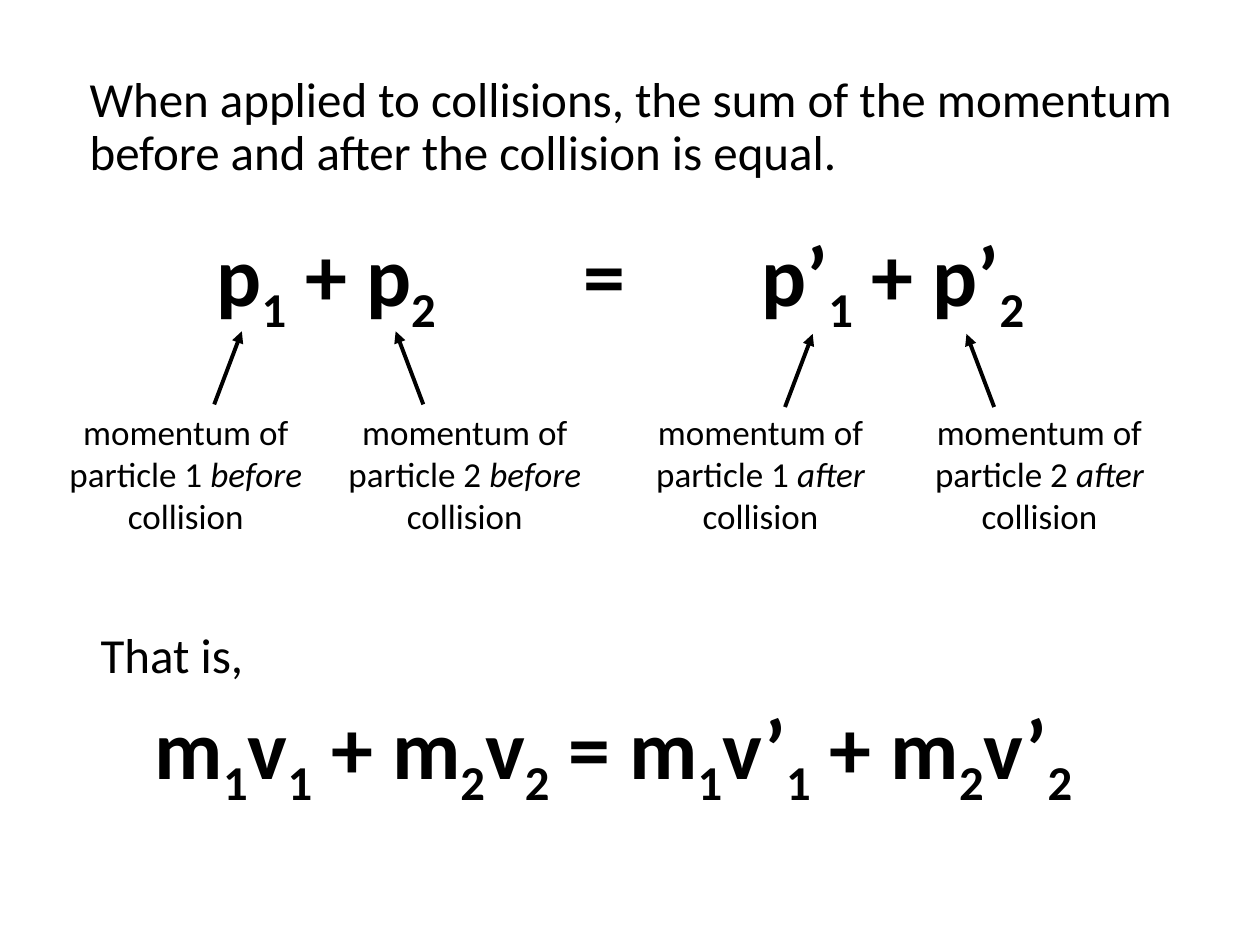
from dataclasses import dataclass

from pptx import Presentation
from pptx.dml.color import RGBColor
from pptx.enum import shapes, text
from pptx.oxml import ns
from pptx.util import Pt
from lxml import etree


@dataclass(frozen=True)
class Theme:
    ink: RGBColor = RGBColor(0, 0, 0)
    font: str = "Calibri"
    body: int = 28
    math: int = 48
    note: int = 20
    line: float = 2.25


THEME = Theme()


def add_tag(parent, tag, **attrs):
    return etree.SubElement(parent, ns.qn(tag), attrs)


def add_run(para, words, size, bold=False, slant=False, sub=False):
    run = para.add_run()
    run.text = words
    font = run.font
    font.name, font.size = THEME.font, Pt(size)
    font.bold, font.italic = bold, slant
    font.color.rgb = THEME.ink
    if sub:
        run._r.get_or_add_rPr().set("baseline", "-25000")


def add_box(slide, left, top, width, height, wrap=True):
    box = slide.shapes.add_textbox(Pt(left), Pt(top), Pt(width), Pt(height))
    box.text_frame.word_wrap = wrap
    return box.text_frame.paragraphs[0]


def add_lead(slide, words):
    lead = slide.placeholders[1]
    lead.left, lead.top = Pt(44), Pt(39.6)
    lead.width, lead.height = Pt(636), Pt(72)
    frame = lead.text_frame
    frame.auto_size = text.MSO_AUTO_SIZE.NONE
    frame.vertical_anchor = text.MSO_ANCHOR.TOP
    para = frame.paragraphs[0]
    props = para._p.get_or_add_pPr()
    props.set("marL", "0")
    props.set("indent", "0")
    add_tag(props, "a:buNone")
    para.line_spacing = 0.9
    para.space_before = Pt(0)
    add_run(para, words, THEME.body)


def add_math(slide, left, top, width, parts, stops=()):
    para = add_box(slide, left, top, width, 65.5)
    if stops:
        tabs = add_tag(para._p.get_or_add_pPr(), "a:tabLst")
        for stop in stops:
            add_tag(tabs, "a:tab", pos=str(Pt(stop)), algn="l")
    for i, part in enumerate(parts.split("|")):
        add_run(para, part, THEME.math, bold=True, sub=i % 2 == 1)


def add_note(slide, left, num, when):
    para = add_box(slide, left, 231, 159.2, 80)
    para.alignment = text.PP_ALIGN.CENTER
    add_run(para, f"momentum of particle {num} ", THEME.note)
    add_run(para, when, THEME.note, slant=True)
    add_run(para, " collision", THEME.note)


def add_arrow(slide, start, end):
    line = slide.shapes.add_connector(
        shapes.MSO_CONNECTOR.STRAIGHT, *map(Pt, start + end))
    line.line.color.rgb = THEME.ink
    line.line.width = Pt(THEME.line)
    add_tag(line.line._get_or_add_ln(), "a:tailEnd", type="triangle")
    add_tag(line._element.spPr, "a:effectLst")


def add_pair(slide, left, tail, base, when):
    for i, lean in enumerate((15.8, -15.8)):
        add_note(slide, left + 159.4 * i, i + 1, when)
        x = tail + 119.5 * i
        add_arrow(slide, (x, base), (x + lean, base - 41.8))


def main():
    deck = Presentation()
    deck.slide_width, deck.slide_height = Pt(720), Pt(540)
    slide = deck.slides.add_slide(deck.slide_layouts[1])
    title = slide.shapes.title._element
    title.getparent().remove(title)

    add_lead(slide, "When applied to collisions, the sum of the momentum "
                    "before and after the collision is equal.")
    add_math(slide, 116.6, 123.8, 490.3,
             "p|1| + p|2|\t=\tp’|1| + p’|2", stops=(210, 311.5))
    add_math(slide, 81.4, 393.8, 561.6,
             "m|1|v|1| + m|2|v|2| = m|1|v’|1| + m|2|v’|2")
    para = add_box(slide, 50.4, 353.5, 97.2, 41, wrap=False)
    add_run(para, "That is,", THEME.body)
    add_pair(slide, 26.6, 122.4, 231.1, "before")
    add_pair(slide, 355, 448.6, 232.6, "after")
    deck.save("out.pptx")


if __name__ == "__main__":
    main()
